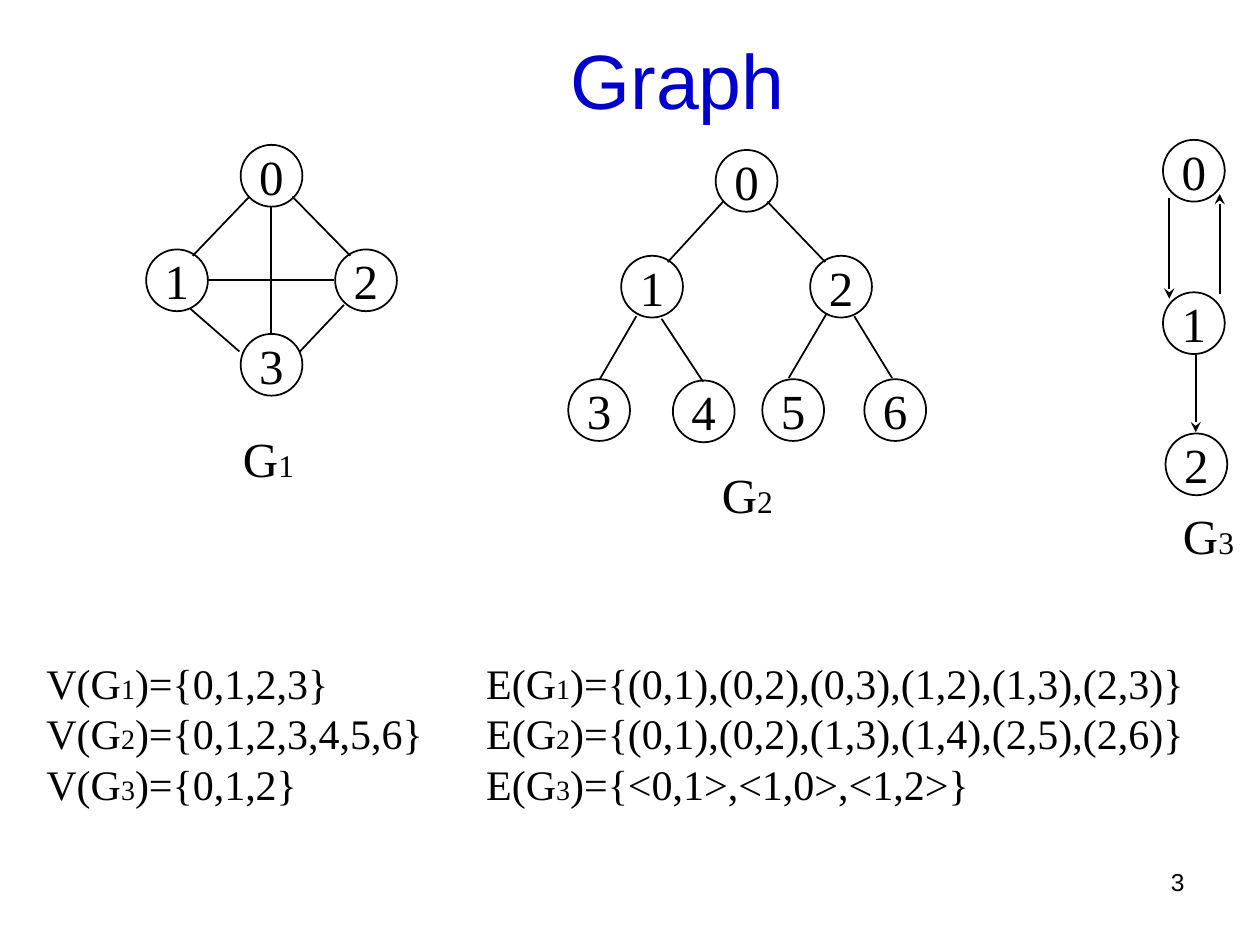
from pptx import Presentation
from pptx.dml.color import RGBColor
from pptx.enum.shapes import MSO_CONNECTOR, MSO_SHAPE
from pptx.enum.text import MSO_ANCHOR, PP_ALIGN
from pptx.oxml import parse_xml
from pptx.oxml.ns import nsdecls
from pptx.util import Inches, Pt

COLORS = {"title": "0000CC", "ink": "000000", "paper": "FFFFFF"}
SERIF, SANS = "Times New Roman", "Arial"

# The grid has 100 columns and 75 rows; all lengths below are in its units.
COLUMNS, ROWS = 100, 75
SLIDE_WIDTH, SLIDE_HEIGHT = Inches(10), Inches(7.5)
NODE_SIZE = 4.9
LABEL_SIZE = (6.1, 5.7)

# Nodes hold left and top, edges hold both ends, all from the graph's corner.
GRAPHS = [
    {"name": "1", "corner": (11.6, 11.5), "label": (6.7, 22),
     "nodes": [(7.5, 0), (0, 8.3), (15, 8.3), (7.5, 15)],
     "edges": [(9.9, 4.9, 9.9, 14.9), (4.9, 10.7, 14.9, 10.7),
               (8.2, 4.1, 3.7, 8.8), (11.6, 4.1, 16.2, 8.8),
               (3.5, 13, 7.4, 16.4), (15.7, 12.7, 12.2, 16.4)]},
    {"name": "2", "corner": (45.1, 11.9), "label": (11.2, 24.5),
     "nodes": [(11.7, 0), (4.2, 8.4), (19.2, 8.4), (0, 18.2),
               (8.3, 18.3), (15.4, 18.2), (23.5, 18.2)],
     "edges": [(12.3, 4.1, 7.9, 8.9), (15.8, 4.1, 20.4, 8.9),
               (5.4, 13.2, 2.5, 18.2), (7.4, 13.4, 10.7, 18.4),
               (20.5, 13, 17.5, 18.1), (22.7, 13.2, 25.7, 18.1)]},
    {"name": "3", "corner": (92.3, 11.1), "label": (0.6, 28.5), "directed": True,
     "nodes": [(0, 0), (0, 12.1), (0.2, 23.3)],
     "edges": [(2.6, 17.1, 2.6, 23.2), (4.5, 12.2, 4.5, 4.3),
               (0.5, 4.6, 0.5, 12.6)]},
]

SETS = [
    ("1", "0,1,2,3", "(0,1),(0,2),(0,3),(1,2),(1,3),(2,3)"),
    ("2", "0,1,2,3,4,5,6", "(0,1),(0,2),(1,3),(1,4),(2,5),(2,6)"),
    ("3", "0,1,2", "<0,1>,<1,0>,<1,2>"),
]
EDGE_SET_COLUMN = 34.9


def across(columns):
    return int(SLIDE_WIDTH * columns / COLUMNS)


def down(rows):
    return int(SLIDE_HEIGHT * rows / ROWS)


def place(box):
    left, top, width, height = box
    return across(left), down(top), across(width), down(height)


def write_run(paragraph, text, size=28, font=SERIF, color="ink"):
    run = paragraph.add_run()
    run.text = text
    run.font.size = Pt(size)
    run.font.name = font
    run.font.color.rgb = RGBColor.from_string(COLORS[color])


def add_text(slide, box, text, align=PP_ALIGN.LEFT, anchor=MSO_ANCHOR.TOP,
             wrap=True, **font):
    shape = slide.shapes.add_textbox(*place(box))
    frame = shape.text_frame
    frame.word_wrap = wrap
    frame.vertical_anchor = anchor
    paragraph = frame.paragraphs[0]
    paragraph.alignment = align
    write_run(paragraph, text, **font)
    return shape


def add_node(slide, left, top, text):
    shape = slide.shapes.add_shape(
        MSO_SHAPE.OVAL, *place((left, top, NODE_SIZE, NODE_SIZE)))
    shape.shadow.inherit = False
    shape.fill.solid()
    shape.fill.fore_color.rgb = RGBColor.from_string(COLORS["paper"])
    shape.line.color.rgb = RGBColor.from_string(COLORS["ink"])
    shape.line.width = Pt(1)
    frame = shape.text_frame
    frame.word_wrap = False
    frame.vertical_anchor = MSO_ANCHOR.MIDDLE
    frame.paragraphs[0].alignment = PP_ALIGN.CENTER
    write_run(frame.paragraphs[0], text)


def add_edge(slide, start, end, directed):
    connector = slide.shapes.add_connector(
        MSO_CONNECTOR.STRAIGHT, across(start[0]), down(start[1]),
        across(end[0]), down(end[1]))
    connector.line.color.rgb = RGBColor.from_string(COLORS["ink"])
    connector.line.width = Pt(1)
    if directed:
        connector.line._get_or_add_ln().append(
            parse_xml(f'<a:tailEnd {nsdecls("a")} type="stealth"/>'))
    connector._element.spPr.append(parse_xml(f'<a:effectLst {nsdecls("a")}/>'))


def add_graph(slide, corner, name, nodes, edges, label, directed=False):
    left, top = corner
    for number, (x, y) in enumerate(nodes):
        add_node(slide, left + x, top + y, str(number))
    for x1, y1, x2, y2 in edges:
        add_edge(slide, (left + x1, top + y1), (left + x2, top + y2), directed)
    caption = add_text(
        slide, (left + label[0], top + label[1], *LABEL_SIZE), "G", wrap=False)
    write_run(caption.text_frame.paragraphs[0], name, size=18)


def add_sets(slide, box):
    frame = slide.shapes.add_textbox(*place(box)).text_frame
    frame.word_wrap = True
    frame.margin_right = 0
    for row, (name, vertices, edges) in enumerate(SETS):
        paragraph = frame.add_paragraph() if row else frame.paragraphs[0]
        # A tab stop lines up the edge sets
        paragraph._p.get_or_add_pPr().append(parse_xml(
            f'<a:tabLst {nsdecls("a")}>'
            f'<a:tab pos="{across(EDGE_SET_COLUMN)}" algn="l"/></a:tabLst>'))
        for text, size in (("V(G", 24), (name, 16), (f")={{{vertices}}}\tE(G", 24),
                           (name, 16), (f")={{{edges}}}", 24)):
            write_run(paragraph, text, size=size)


def main():
    presentation = Presentation()
    presentation.slide_width, presentation.slide_height = SLIDE_WIDTH, SLIDE_HEIGHT
    slide = presentation.slides.add_slide(presentation.slide_layouts[6])

    # Title
    add_text(slide, (7.6, 0, 92.4, 12.5), "Graph", align=PP_ALIGN.CENTER,
             anchor=MSO_ANCHOR.MIDDLE, size=44, font=SANS, color="title")
    # Three graphs
    for graph in GRAPHS:
        add_graph(slide, **graph)
    # Vertex and edge sets
    add_sets(slide, (2.7, 51.7, 92.3, 13))
    # Page number
    add_text(slide, (71.7, 68.3, 23.3, 5.2), "3", align=PP_ALIGN.RIGHT,
             size=14, font=SANS)

    presentation.save("out.pptx")


if __name__ == "__main__":
    main()
